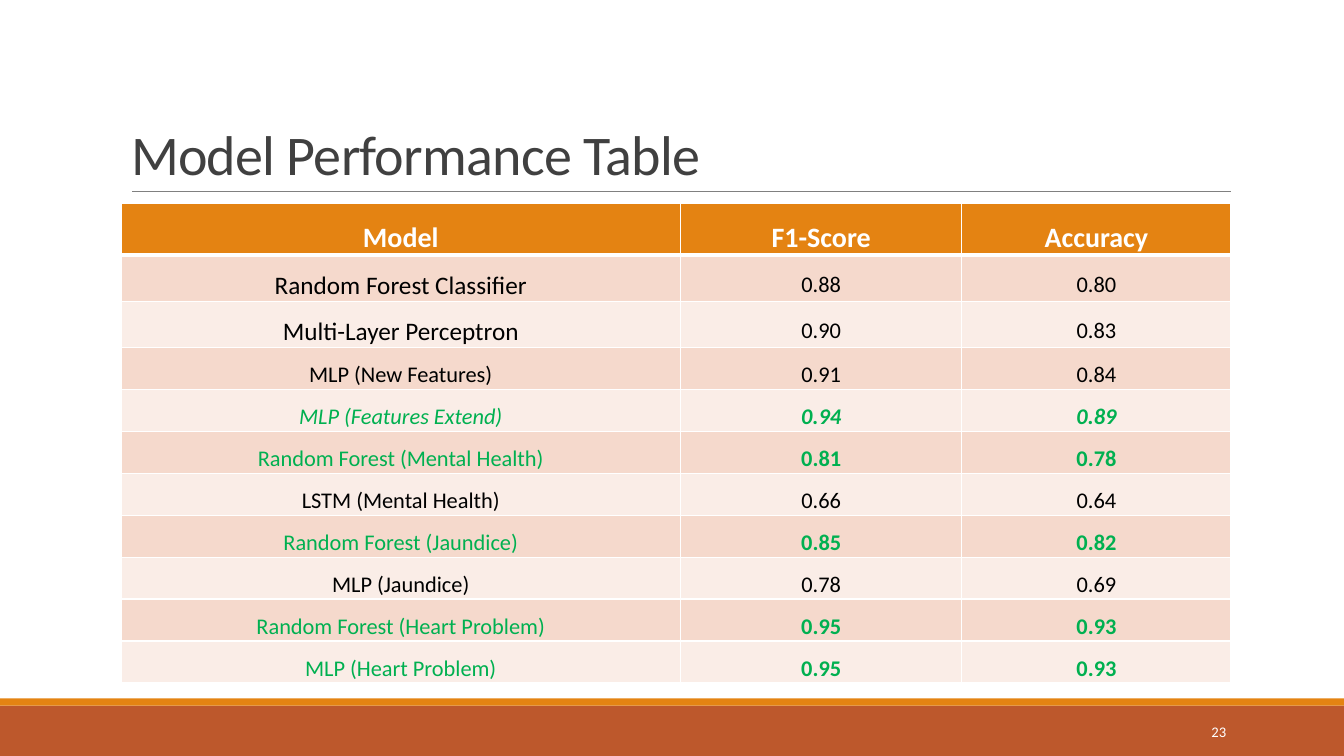
from lxml import etree
from pptx import Presentation
from pptx.dml.color import RGBColor
from pptx.enum.shapes import MSO_CONNECTOR, MSO_SHAPE
from pptx.enum.text import MSO_ANCHOR, PP_ALIGN
from pptx.oxml.ns import qn
from pptx.util import Inches, Pt

RECT, LINE = MSO_SHAPE.RECTANGLE, MSO_CONNECTOR.STRAIGHT
TOP, MID, LOW = MSO_ANCHOR.TOP, MSO_ANCHOR.MIDDLE, MSO_ANCHOR.BOTTOM
LEFT, MIDST, RIGHT = PP_ALIGN.LEFT, PP_ALIGN.CENTER, PP_ALIGN.RIGHT

THEME = {
    "font": "Calibri",
    "white": "FFFFFF", "black": "000000", "green": "00B050",
    "ink": "404040", "rule": "808080",
    "orange": "E48312", "rust": "BD582C",
    "bands": ("F5D9CC", "FAEDE7"),
    "title": 40, "head": 20, "large": 18, "body": 16, "page": 10.5,
}


def color(name):
    return RGBColor.from_string(THEME.get(name, name))


def write(frame, text, size, ink, align, **style):
    """Put one formatted run in the frame and return it."""
    par = frame.paragraphs[0]
    par.alignment = align
    run = par.add_run()
    run.text = text
    form = {"name": THEME["font"], "size": Pt(THEME[size]), "bold": False, **style}
    for key, value in form.items():
        setattr(run.font, key, value)
    run.font.color.rgb = color(ink)
    return run


deck = Presentation()
deck.slide_width, deck.slide_height = Inches(13.33), Inches(7.5)
slide = deck.slides.add_slide(deck.slide_layouts[5])
shapes = slide.shapes

# Footer bars and title rule
for top, high, fill in ((7, 0.5, "rust"), (6.93, 0.07, "orange")):
    bar = shapes.add_shape(RECT, 0, Inches(top), deck.slide_width, Inches(high))
    bar.shadow.inherit = False
    bar.fill.solid()
    bar.fill.fore_color.rgb = color(fill)
    bar.line.fill.background()

rule = shapes.add_connector(LINE, Inches(1.31), Inches(1.9), Inches(12.21), Inches(1.9))
rule.line.color.rgb = color("rule")
rule.line.width = Pt(0.5)
etree.SubElement(rule._element.spPr, qn("a:effectLst"))

# Title
title = shapes.title
place = {"left": 1.2, "top": 0.31, "width": 11, "height": 1.59}
for key, value in place.items():
    setattr(title, key, Inches(value))
title.text_frame.vertical_anchor = LOW
run = write(title.text_frame, "Model Performance Table", "title", "ink", LEFT)
run.font._element.set("spc", "-50")
title.text_frame.paragraphs[0].line_spacing = 0.85

# Model scores: name, F1, accuracy, name size, best of its group, italic
rows = (
    ("Random Forest Classifier", 0.88, 0.80, "large", False, False),
    ("Multi-Layer Perceptron", 0.90, 0.83, "large", False, False),
    ("MLP (New Features)", 0.91, 0.84, "body", False, False),
    ("MLP (Features Extend)", 0.94, 0.89, "body", True, True),
    ("Random Forest (Mental Health)", 0.81, 0.78, "body", True, False),
    ("LSTM (Mental Health)", 0.66, 0.64, "body", False, False),
    ("Random Forest (Jaundice)", 0.85, 0.82, "body", True, False),
    ("MLP (Jaundice)", 0.78, 0.69, "body", False, False),
    ("Random Forest (Heart Problem)", 0.95, 0.93, "body", True, False),
    ("MLP (Heart Problem)", 0.95, 0.93, "body", True, False),
)
heads = ("Model", "F1-Score", "Accuracy")
wide = (5.55, 2.79, 2.67)
tall = 4.67
first = [0.48, 0.43, 0.43]
rest = len(rows) + 1 - len(first)
highs = first + [(tall - sum(first)) / rest] * rest

table = shapes.add_table(len(highs), len(wide), Inches(1.2), Inches(2.02),
                         Inches(sum(wide)), Inches(tall)).table
for col, width in zip(table.columns, wide):
    col.width = Inches(width)
for row, high in zip(table.rows, highs):
    row.height = Inches(high)

for r, row in enumerate(table.rows):
    for c, cell in enumerate(row.cells):
        if r == 0:
            text, size, ink, bold, slant = heads[c], "head", "white", True, False
            fill, anchor = "orange", TOP
        else:
            name, f1, acc, size, best, slant = rows[r - 1]
            text = name if c == 0 else f"{(f1, acc)[c - 1]:.2f}"
            size = size if c == 0 else "body"
            ink, bold = ("green", c > 0) if best else ("black", False)
            fill, anchor = THEME["bands"][(r - 1) % 2], MID

        write(cell.text_frame, text, size, ink, MIDST, bold=bold, italic=slant)
        par = cell.text_frame.paragraphs[0]
        par.line_spacing, par.space_after = 1.5, Pt(8)
        form = {"margin_left": Inches(0.07), "margin_right": Inches(0.07),
                "margin_top": 0, "margin_bottom": 0, "vertical_anchor": anchor}
        for key, value in form.items():
            setattr(cell, key, value)

        props = cell._tc.get_or_add_tcPr()
        for side in ("L", "R", "T", "B"):
            thick = (r, side) in ((0, "B"), (1, "T"))
            edge = etree.SubElement(props, qn(f"a:ln{side}"), w=str(Pt(3 if thick else 1)))
            solid = etree.SubElement(edge, qn("a:solidFill"))
            etree.SubElement(solid, qn("a:srgbClr"), val=THEME["white"])
        cell.fill.solid()
        cell.fill.fore_color.rgb = color(fill)

# Page number
page = shapes.add_textbox(Inches(10.83), Inches(7.06), Inches(1.43), Inches(0.4))
page.text_frame.word_wrap = True
page.text_frame.vertical_anchor = MID
write(page.text_frame, "23", "page", "white", RIGHT)

deck.save("out.pptx")
